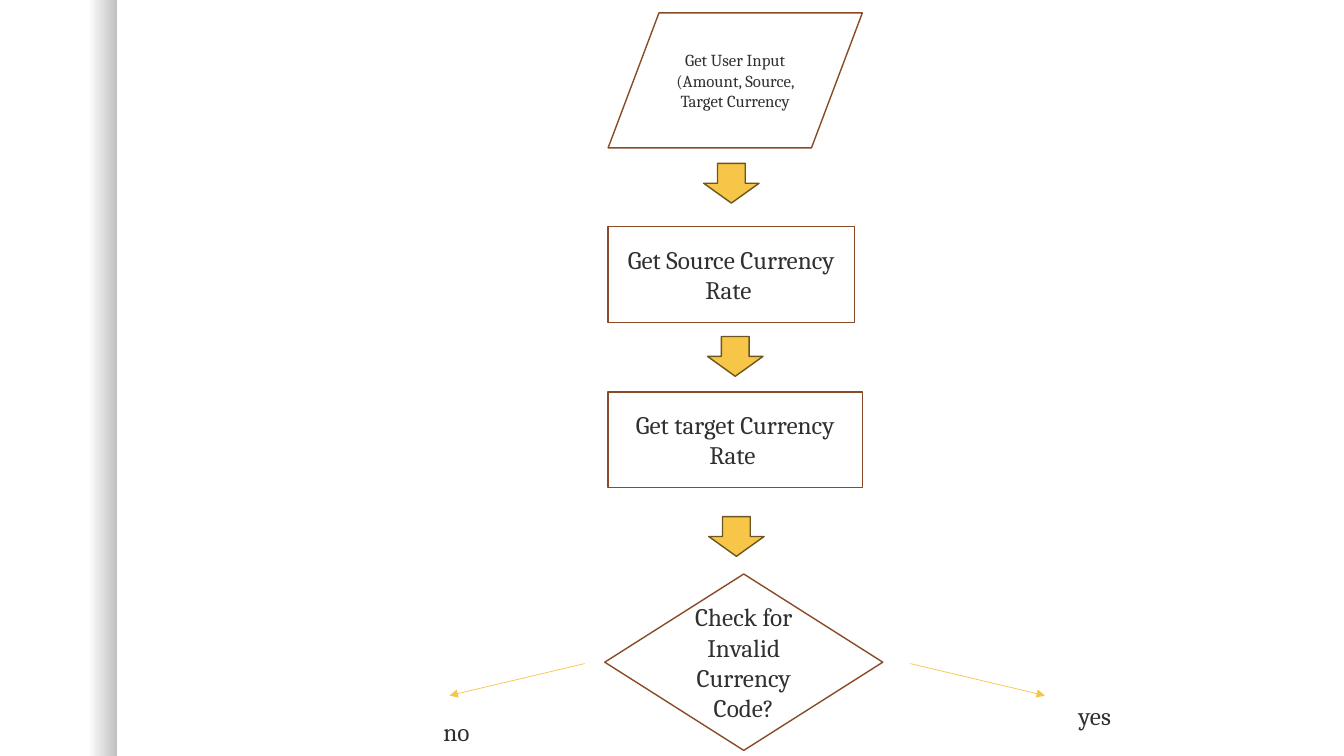
from dataclasses import dataclass

from lxml import etree
from pptx import Presentation
from pptx.dml.color import RGBColor
from pptx.enum.shapes import MSO_CONNECTOR, MSO_SHAPE
from pptx.enum.text import MSO_ANCHOR, PP_ALIGN
from pptx.oxml.ns import qn
from pptx.util import Pt

RECTANGLE = MSO_SHAPE.RECTANGLE
INPUT_OUTPUT = MSO_SHAPE.FLOWCHART_DATA
DECISION = MSO_SHAPE.FLOWCHART_DECISION
DOWN_ARROW = MSO_SHAPE.DOWN_ARROW
STRAIGHT = MSO_CONNECTOR.STRAIGHT
MIDDLE = MSO_ANCHOR.MIDDLE
CENTER = PP_ALIGN.CENTER
LEFT = PP_ALIGN.LEFT


@dataclass(frozen=True)
class Theme:
    font: str = "Cambria"
    text: RGBColor = RGBColor(0x30, 0x30, 0x30)
    paper: RGBColor = RGBColor(0xFF, 0xFF, 0xFF)
    edge_shade: RGBColor = RGBColor(0xBF, 0xBF, 0xBF)
    outline: RGBColor = RGBColor(0x89, 0x4A, 0x27)
    accent: RGBColor = RGBColor(0xF7, 0xC5, 0x47)
    accent_outline: RGBColor = RGBColor(0x6C, 0x56, 0x1F)
    small: int = 12
    body: int = 18


theme = Theme()


def add_box(kind, left, top, width, height, fill, outline):
    shape = slide.shapes.add_shape(kind, Pt(left), Pt(top), Pt(width), Pt(height))
    shape.shadow.inherit = False
    shape.fill.solid()
    shape.fill.fore_color.rgb = fill
    shape.line.color.rgb = outline
    shape.line.width = Pt(1)
    return shape


def write_lines(text_frame, lines, size, alignment):
    for index, line in enumerate(lines):
        paragraph = text_frame.add_paragraph() if index else text_frame.paragraphs[0]
        paragraph.alignment = alignment
        run = paragraph.add_run()
        run.text = line
        run.font.name = theme.font
        run.font.size = Pt(size)
        run.font.color.rgb = theme.text


presentation = Presentation()
presentation.slide_width = Pt(960)
presentation.slide_height = Pt(540)
slide = presentation.slides.add_slide(presentation.slide_layouts[6])
slide.background.fill.solid()
slide.background.fill.fore_color.rgb = theme.paper

edge_band = add_box(RECTANGLE, 0, 0, 83.9, 540, theme.paper, theme.paper)
edge_band.line.fill.background()
edge_band.fill.gradient()
edge_band.fill.gradient_angle = 0
shades = [(0.75, theme.paper), (1, theme.edge_shade)]
for stop, (position, color) in zip(edge_band.fill.gradient_stops, shades):
    stop.position = position
    stop.color.rgb = color

steps = [
    (INPUT_OUTPUT, 434.4, 9.2, 181.6, 96.4, theme.small,
     ["Get User Input (Amount, Source, Target Currency"]),
    (RECTANGLE, 434.4, 162, 175.9, 68.2, theme.body, ["Get Source Currency Rate "]),
    (RECTANGLE, 434.4, 280, 181.6, 68.2, theme.body, ["Get target Currency Rate "]),
    (DECISION, 432, 410, 198.6, 126, theme.body,
     ["Check for Invalid", "Currency Code?"]),
]
for kind, left, top, width, height, size, lines in steps:
    step = add_box(kind, left, top, width, height, theme.paper, theme.outline)
    step.text_frame.word_wrap = True
    step.text_frame.vertical_anchor = MIDDLE
    write_lines(step.text_frame, lines, size, CENTER)

for left, top in [(502.6, 116.7), (505.4, 240.4), (506.2, 369)]:
    add_box(DOWN_ARROW, left, top, 39.6, 28.4, theme.accent, theme.accent_outline)

branches = [
    ("yes", 650.2, 746.4, 763.2, 496.8, 40.3),
    ("no", 417.6, 321.1, 309.6, 508.3, 34.6),
]
for answer, start, end, left, top, width in branches:
    connector = slide.shapes.add_connector(
        STRAIGHT, Pt(start), Pt(474), Pt(end), Pt(496.8))
    connector.line.color.rgb = theme.accent
    connector.line.width = Pt(0.5)
    line_properties = connector.line._get_or_add_ln()
    etree.SubElement(line_properties, qn("a:tailEnd"), type="triangle")
    etree.SubElement(connector._element.spPr, qn("a:effectLst"))

    label = slide.shapes.add_textbox(Pt(left), Pt(top), Pt(width), Pt(28.8))
    label.text_frame.word_wrap = False
    write_lines(label.text_frame, [answer], theme.body, LEFT)

presentation.save("out.pptx")
